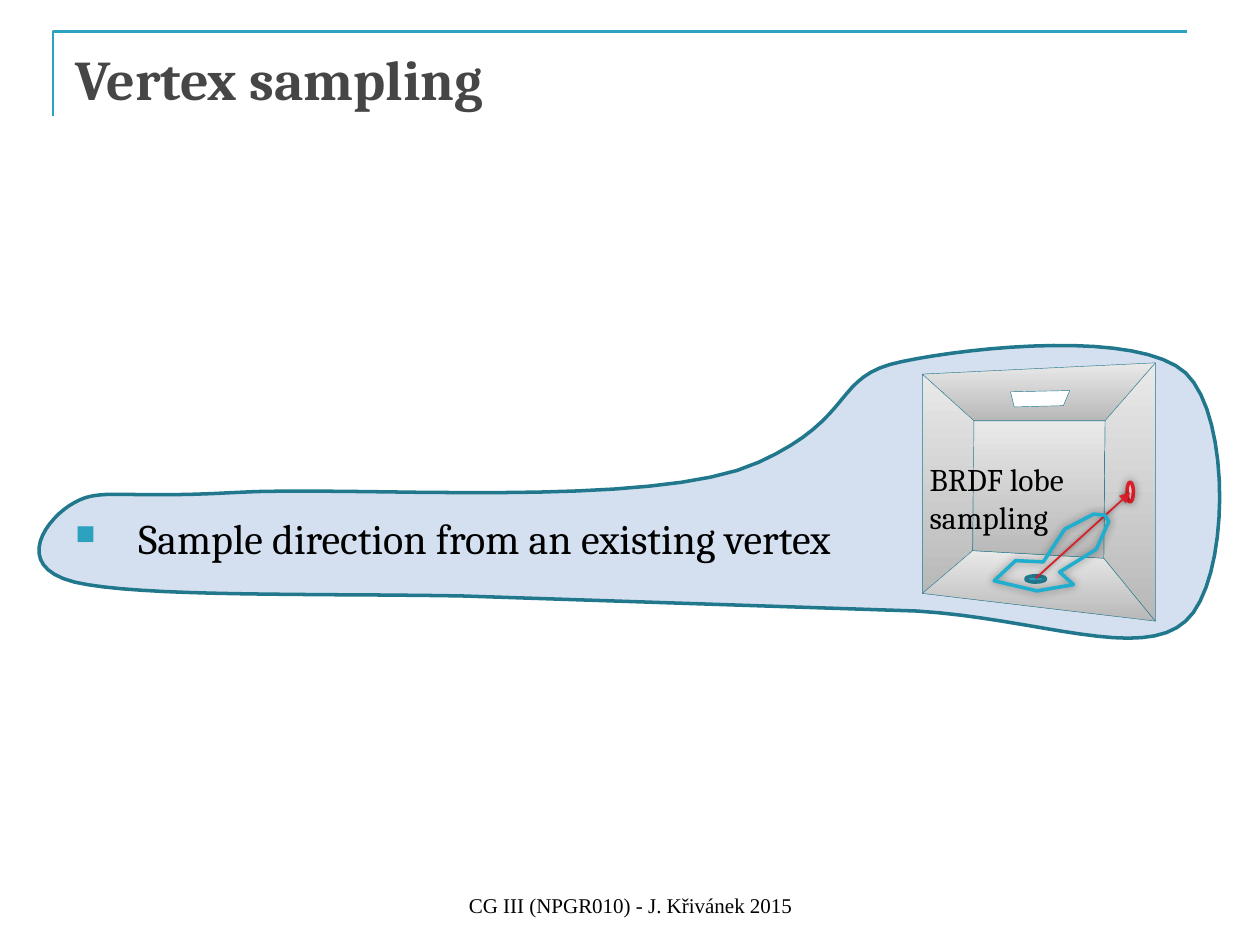
from lxml.etree import SubElement
from pptx import Presentation
from pptx.dml.color import RGBColor
from pptx.enum.shapes import MSO_CONNECTOR as CONN, MSO_SHAPE as SHAPE
from pptx.enum.text import MSO_ANCHOR as ANCHOR, PP_ALIGN as ALIGN
from pptx.oxml.ns import qn
from pptx.util import Inches, Pt

ACCENT, TEAL, THIN, RED = "2DA2BF", "21788D", "227A8F", "DA1F28"
GREY = ("B8B8B8", "E9E9E9")
CURVE_STEPS = 16


def rgb(value):
    """Turn a hex string into a colour."""
    return RGBColor.from_string(value)


def set_effect(sp, shadow=None):
    """Give a shape no shadow, or a soft one from (opacity percent, blur points)."""
    effects = SubElement(sp._element.spPr, qn("a:effectLst"))
    if shadow:
        opacity, blur = shadow
        outer = SubElement(effects, qn("a:outerShdw"), blurRad=str(Pt(blur)), dist="0")
        color = SubElement(outer, qn("a:srgbClr"), val="000000")
        SubElement(color, qn("a:alpha"), val=str(opacity * 1000))


def style(sp, fill, line, width, shadow=None):
    """Set fill (hex, gradient pair or None), outline and shadow."""
    if fill is None:
        sp.fill.background()
    elif isinstance(fill, tuple):
        sp.fill.gradient()
        sp.fill.gradient_angle = 90
        for stop, color in zip(sp.fill.gradient_stops, fill):
            stop.color.rgb = rgb(color)
    else:
        sp.fill.solid()
        sp.fill.fore_color.rgb = rgb(fill)
    sp.line.color.rgb = rgb(line)
    sp.line.width = Pt(width)
    set_effect(sp, shadow)


def add_outline(s, points, fill, line, width, shadow=None, close=True):
    """Draw straight edges through points given in inches."""
    (x, y), *rest = [(Inches(px), Inches(py)) for px, py in points]
    builder = s.shapes.build_freeform(x, y)
    builder.add_line_segments(rest, close=close)
    style(builder.convert_to_shape(), fill, line, width, shadow)


def add_ellipse(s, x, y, w, h, fill, line, rotation=0, shadow=None):
    """Draw an ellipse with a 2 pt outline."""
    sp = s.shapes.add_shape(SHAPE.OVAL, Inches(x), Inches(y), Inches(w), Inches(h))
    sp.rotation = rotation
    style(sp, fill, line, 2, shadow)


def add_arrow(s, tip, tail, color, width, shadow):
    """Draw an arrow pointing at tip."""
    ends = [Inches(v) for v in (*tip, *tail)]
    line = s.shapes.add_connector(CONN.STRAIGHT, *ends)
    line.line.color.rgb = rgb(color)
    line.line.width = Pt(width)
    SubElement(line.line._get_or_add_ln(), qn("a:headEnd"), type="triangle")
    set_effect(line, shadow)


def add_bullet(p, indent, color):
    """Give a paragraph a square bullet with a hanging indent."""
    pPr = p._p.get_or_add_pPr()
    pPr.set("marL", str(Inches(indent)))
    pPr.set("indent", str(-Inches(indent)))
    SubElement(SubElement(pPr, qn("a:buClr")), qn("a:srgbClr"), val=color)
    SubElement(pPr, qn("a:buSzPct"), val="65000")
    SubElement(pPr, qn("a:buChar"), char="■")


def add_text(s, text, x, y, w, h, size, color="000000", font="Cambria", bold=False,
             align=ALIGN.LEFT, anchor=ANCHOR.TOP, wrap=True, bullet=None):
    """Add a text box with one paragraph per line of text."""
    tf = s.shapes.add_textbox(Inches(x), Inches(y), Inches(w), Inches(h)).text_frame
    tf.word_wrap = wrap
    tf.vertical_anchor = anchor
    tf.text = text
    for p in tf.paragraphs:
        p.alignment = align
        if bullet:
            add_bullet(p, 0.5, bullet)
        f = p.runs[0].font
        f.name, f.size, f.bold = font, Pt(size), bold
        f.color.rgb = rgb(color)


def curve_points(start, segments):
    """Sample cubic segments (two controls and an end) into points."""
    points = [start]
    for c1, c2, end in segments:
        p0 = points[-1]
        for i in range(1, CURVE_STEPS + 1):
            t = i / CURVE_STEPS
            u = 1 - t
            points.append(tuple(
                u**3 * a + 3 * u * u * t * b + 3 * u * t * t * c + t**3 * d
                for a, b, c, d in zip(p0, c1, c2, end)))
    return points


def add_highlight(s):
    """Draw the rounded blue region behind the statement and the room."""
    lower = curve_points((0.59, 4.62), [((1.1, 4.74), (2.49, 4.71), (3.66, 4.73))])
    upper = curve_points((7.28, 4.85), [
        ((8.24, 4.91), (9.06, 5.25), (9.41, 4.93)),
        ((9.76, 4.62), (9.78, 3.31), (9.41, 2.96)),
        ((9.04, 2.62), (7.73, 2.75), (7.16, 2.87)),
        ((6.6, 2.98), (6.81, 3.31), (6.02, 3.67)),
        ((5.2, 4.05), (2.76, 3.85), (1.85, 3.91)),
        ((0.94, 3.96), (0.8, 3.87), (0.59, 3.99)),
        ((0.38, 4.1), (0.08, 4.49), (0.59, 4.62))])
    add_outline(s, lower + upper, "D4DFEF", TEAL, 2)


def add_room(s):
    """Draw the box room from its front and back corners, and the lamp."""
    front = [(7.32, 2.97), (9.17, 2.88), (9.17, 4.93), (7.32, 4.71)]
    back = [(7.73, 3.34), (8.77, 3.34), (8.76, 4.43), (7.72, 4.37)]
    for i in (0, 3, 2, 1):
        j = (i + 1) % 4
        add_outline(s, [front[i], front[j], back[j], back[i]], GREY, THIN, 0.25)
    add_outline(s, back, GREY, THIN, 0.25)
    lamp = [(8.44, 3.22), (8.49, 3.1), (8.02, 3.11), (8.05, 3.23)]
    add_outline(s, lamp, "FFFFFF", THIN, 0.25)


def add_sampling(s):
    """Draw the vertex, the sampled direction and the lobe."""
    add_ellipse(s, 8.14, 4.57, 0.16, 0.05, ACCENT, TEAL)
    add_ellipse(s, 8.89, 3.88, 0.16, 0.05, "F9D1D3", RED, rotation=270, shadow=(40, 5))
    add_arrow(s, (8.97, 3.91), (8.22, 4.59), RED, 1, shadow=(50, 3))
    lobe = [(8.52, 4.64), (8.41, 4.54), (8.7, 4.36), (8.8, 4.14), (8.77, 4.09),
            (8.68, 4.08), (8.45, 4.2), (8.28, 4.46), (8.06, 4.45), (7.89, 4.61),
            (8.23, 4.69)]
    add_outline(s, lobe, None, "1FAECD", 2, shadow=(40, 5))
    add_text(s, "BRDF lobe\nsampling", 7.28, 3.6, 1.42, 0.71, 18, wrap=False)


def main():
    """Build the slide and save it."""
    prs = Presentation()
    prs.slide_width, prs.slide_height = Inches(10), Inches(7.5)
    s = prs.slides.add_slide(prs.slide_layouts[6])
    corner = [(0.42, 0.92), (0.42, 0.25), (9.42, 0.25)]
    add_outline(s, corner, None, ACCENT, 1.5, close=False)
    add_highlight(s)
    add_room(s)
    add_sampling(s)
    add_text(s, "Vertex sampling", 0.5, 0.3, 9, 1.25, 32, "464646", bold=True)
    add_text(s, "Sample direction from an existing vertex", 0.5, 4.02, 6.5, 0.5, 24,
             anchor=ANCHOR.MIDDLE, bullet=ACCENT)
    add_text(s, "CG III (NPGR010) - J. Křivánek 2015", 3.42, 6.83, 3.17, 0.5, 12,
             font="Times New Roman", align=ALIGN.CENTER, anchor=ANCHOR.BOTTOM)
    prs.save("out.pptx")


if __name__ == "__main__":
    main()
